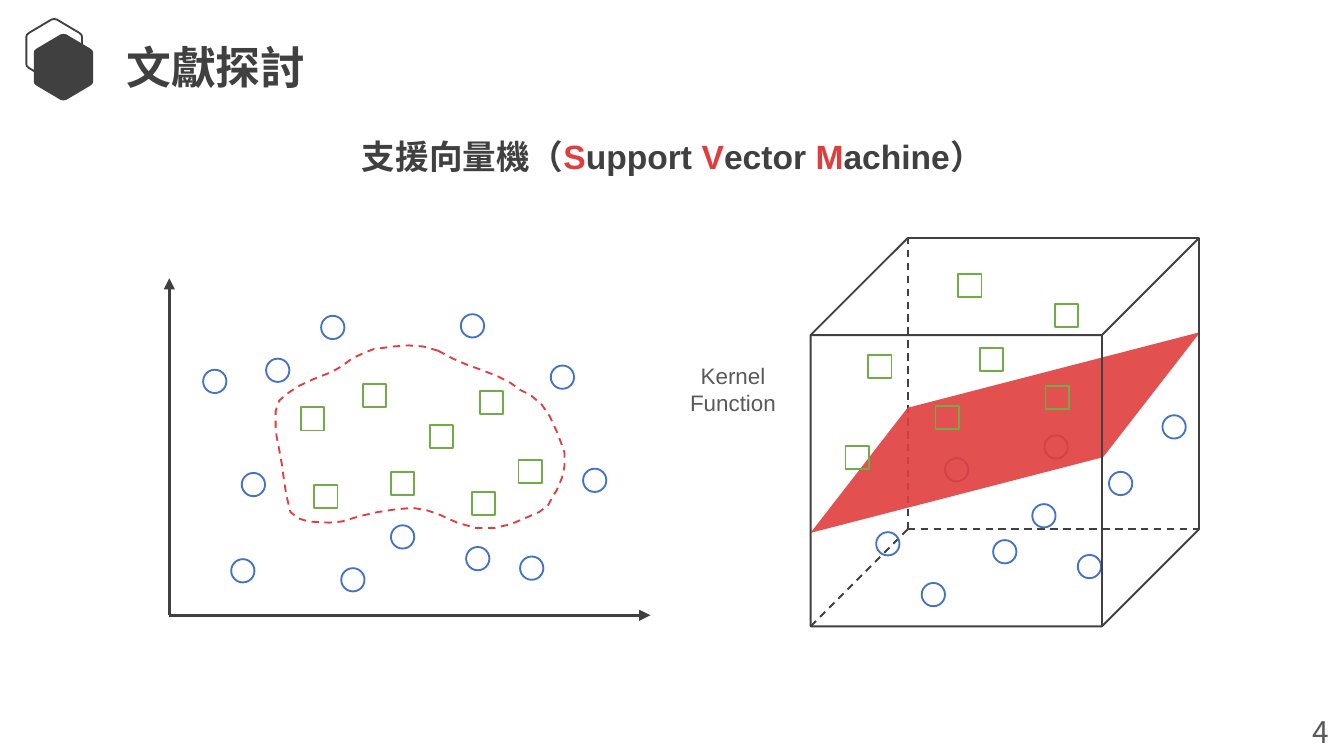
from lxml.etree import SubElement
from pptx import Presentation
from pptx.dml.color import RGBColor
from pptx.enum.dml import MSO_LINE_DASH_STYLE as Dash
from pptx.enum.shapes import MSO_CONNECTOR_TYPE as Connector, MSO_SHAPE as Shape
from pptx.enum.text import MSO_ANCHOR as Anchor, PP_ALIGN as Align
from pptx.oxml.ns import qn
from pptx.util import Cm, Pt

DARK, GREY, RED = "404040", "595959", "E03E3E"
BLUE, GREEN = "4472C4", "70AD47"
LATIN, CJK = "Arial", "Noto Sans CJK JP"
MARKER = 0.44


def rgb(code):
    return RGBColor.from_string(code)


class Sketch:
    """Draws elements on one slide; all lengths are centimetres."""

    def __init__(self, page):
        self.shapes = page.shapes

    def style(self, shape, fill=None, line=None, dash=None, alpha=None):
        shape.shadow.inherit = False
        if fill:
            shape.fill.solid()
            shape.fill.fore_color.rgb = rgb(fill)
            if alpha:
                color = shape.fill._xPr.find(".//" + qn("a:srgbClr"))
                SubElement(color, qn("a:alpha")).set("val", str(alpha * 1000))
        else:
            shape.fill.background()
        if line:
            self.stroke(shape.line, line, 1, dash)
        else:
            shape.line.fill.background()

    def stroke(self, line, color, width, dash=None):
        line.color.rgb = rgb(color)
        line.width = Pt(width)
        if dash:
            line.dash_style = dash

    def preset(self, kind, x, y, w, h, **look):
        shape = self.shapes.add_shape(kind, Cm(x), Cm(y), Cm(w), Cm(h))
        self.style(shape, **look)
        return shape

    def markers(self, kind, color, places):
        for x, y in places:
            self.preset(kind, x, y, MARKER, MARKER, line=color)

    def outline(self, points, **look):
        points = [(Cm(x), Cm(y)) for x, y in points]
        builder = self.shapes.build_freeform(*points[0], scale=1.0)
        builder.add_line_segments(points[1:], close=True)
        self.style(builder.convert_to_shape(), **look)

    def line(self, start, end, width=1, dash=None, arrow=False):
        x1, y1, x2, y2 = (Cm(v) for v in (*start, *end))
        line = self.shapes.add_connector(Connector.STRAIGHT, x1, y1, x2, y2)
        self.stroke(line.line, DARK, width, dash)
        if arrow:
            SubElement(line.line._get_or_add_ln(), qn("a:tailEnd")).set("type", "triangle")
        SubElement(line._element.spPr, qn("a:effectLst"))

    def text(self, x, y, w, h, runs, size, bold=False, align=Align.LEFT,
             anchor=Anchor.TOP, wrap=True, inset=(0.25, 0.13)):
        """Add a one-paragraph box; runs are (text, font, color), None breaks the line."""
        box = self.shapes.add_textbox(Cm(x), Cm(y), Cm(w), Cm(h))
        frame = box.text_frame
        frame.word_wrap = wrap
        frame.vertical_anchor = anchor
        frame.margin_left = frame.margin_right = Cm(inset[0])
        frame.margin_top = frame.margin_bottom = Cm(inset[1])
        para = frame.paragraphs[0]
        para.alignment = align
        for run in runs:
            if run is None:
                para.add_line_break()
                continue
            words, font, color = run
            span = para.add_run()
            span.text = words
            span.font.size = Pt(size)
            span.font.bold = bold
            span.font.color.rgb = rgb(color)
            span.font.name = font
            SubElement(span.font._element, qn("a:ea")).set("typeface", font)


def hexagon(x, y, w, h):
    """Rounded hexagon, mirrored from its top right quarter."""
    quarter = [(0.5, 0), (0.55, 0.01), (0.95, 0.22), (0.99, 0.25), (1, 0.28)]
    right = quarter + [(u, 1 - v) for u, v in reversed(quarter)]
    ring = right + [(1 - u, v) for u, v in reversed(right)]
    return [(x + u * w, y + v * h) for u, v in ring]


deck = Presentation()
deck.slide_width, deck.slide_height = Cm(25.4), Cm(14.29)
sketch = Sketch(deck.slides.add_slide(deck.slide_layouts[6]))

# Headings
subtitle = [("支援向量機（", CJK, DARK)]
for initial, rest in (("S", "upport "), ("V", "ector "), ("M", "achine")):
    subtitle += [(initial, LATIN, RED), (rest, LATIN, DARK)]
subtitle.append(("）", CJK, DARK))
sketch.text(5.26, 2.44, 14.91, 1.02, subtitle, 18, bold=True,
            align=Align.CENTER, anchor=Anchor.MIDDLE)
sketch.outline(hexagon(0.5, 0.36, 1.05, 1.19), line=DARK)
sketch.outline(hexagon(0.64, 0.64, 1.12, 1.26), fill=DARK)
sketch.text(2.21, 0.66, 4.5, 1.22, [("文獻探討", CJK, DARK)], 24, bold=True,
            inset=(0.18, 0.1))
sketch.text(24.56, 13.36, 0.84, 0.94, [("4", CJK, GREY)], 16, wrap=False)

# Plane with a curved boundary
origin = (3.2, 11.63)
for tip in ((12.29, 11.63), (3.2, 5.26)):
    sketch.line(origin, tip, width=1.5, arrow=True)
sketch.markers(Shape.OVAL, BLUE, [
    (4.37, 10.57), (3.84, 6.99), (4.57, 8.94), (6.45, 10.74), (7.39, 9.93), (8.81, 10.34),
    (11.02, 8.86), (10.41, 6.91), (8.71, 5.94), (6.07, 5.97), (5.03, 6.78), (9.83, 10.52)])
sketch.markers(Shape.RECTANGLE, GREEN, [
    (9.8, 8.69), (9.07, 7.39), (7.39, 8.92), (5.69, 7.7),
    (6.86, 7.26), (8.13, 8.03), (8.92, 9.3), (5.94, 9.17)])
boundary = [
    (8.28, 6.63), (8.56, 6.78), (8.79, 6.88), (9.09, 6.99), (9.4, 7.11), (9.65, 7.24),
    (9.83, 7.37), (10.03, 7.47), (10.24, 7.65), (10.39, 7.87), (10.52, 8.15), (10.62, 8.41),
    (10.67, 8.56), (10.67, 8.81), (10.62, 9.04), (10.52, 9.27), (10.44, 9.4), (10.36, 9.55),
    (10.19, 9.68), (9.96, 9.78), (9.65, 9.91), (9.35, 9.98), (8.99, 9.98), (8.64, 9.88),
    (8.31, 9.73), (8.08, 9.65), (7.8, 9.6), (7.47, 9.63), (7.14, 9.68), (6.83, 9.75),
    (6.45, 9.86), (6.22, 9.88), (5.84, 9.86), (5.64, 9.8), (5.49, 9.68), (5.41, 9.35),
    (5.36, 9.02), (5.33, 8.79), (5.28, 8.51), (5.23, 8.26), (5.21, 8.08), (5.21, 7.77),
    (5.28, 7.57), (5.46, 7.42), (5.66, 7.29), (5.94, 7.16), (6.25, 7.04), (6.45, 6.93),
    (6.65, 6.78), (6.86, 6.68), (7.06, 6.6), (7.44, 6.55), (7.72, 6.53), (8, 6.55)]
sketch.outline(boundary, line=RED, dash=Dash.DASH)

# Cube cut by a separating plane
left, top, side = 15.32, 4.5, 7.34
depth = side / 4
hidden_corner = (left + depth, top + side - depth)
for end in ((left + depth, top), (left, top + side), (left + side, top + side - depth)):
    sketch.line(hidden_corner, end, dash=Dash.DASH)
sketch.markers(Shape.OVAL, BLUE, [
    (17.42, 11.02), (18.77, 10.21), (19.51, 9.53), (20.96, 8.92),
    (17.86, 8.66), (20.37, 10.49), (16.56, 10.06), (19.74, 8.23)])
plane = sketch.preset(Shape.PARALLELOGRAM, 14.96, 7.26, 8.08, 1.83, fill=RED, alpha=90)
plane.adjustments[0] = 1.294
plane.rotation = 345.5
sketch.markers(Shape.OVAL, BLUE, [(21.97, 7.85)])
sketch.markers(Shape.RECTANGLE, GREEN, [
    (18.11, 5.18), (19.94, 5.74), (16.41, 6.71), (17.68, 7.67),
    (18.52, 6.58), (15.98, 8.43), (19.76, 7.29)])
sketch.preset(Shape.CUBE, left, top, side, side, line=DARK)

sketch.text(12.6, 6.65, 2.51, 1.42,
            [("Kernel", LATIN, GREY), None, ("Function", LATIN, GREY)], 12,
            align=Align.CENTER, anchor=Anchor.MIDDLE)

deck.save("out.pptx")
